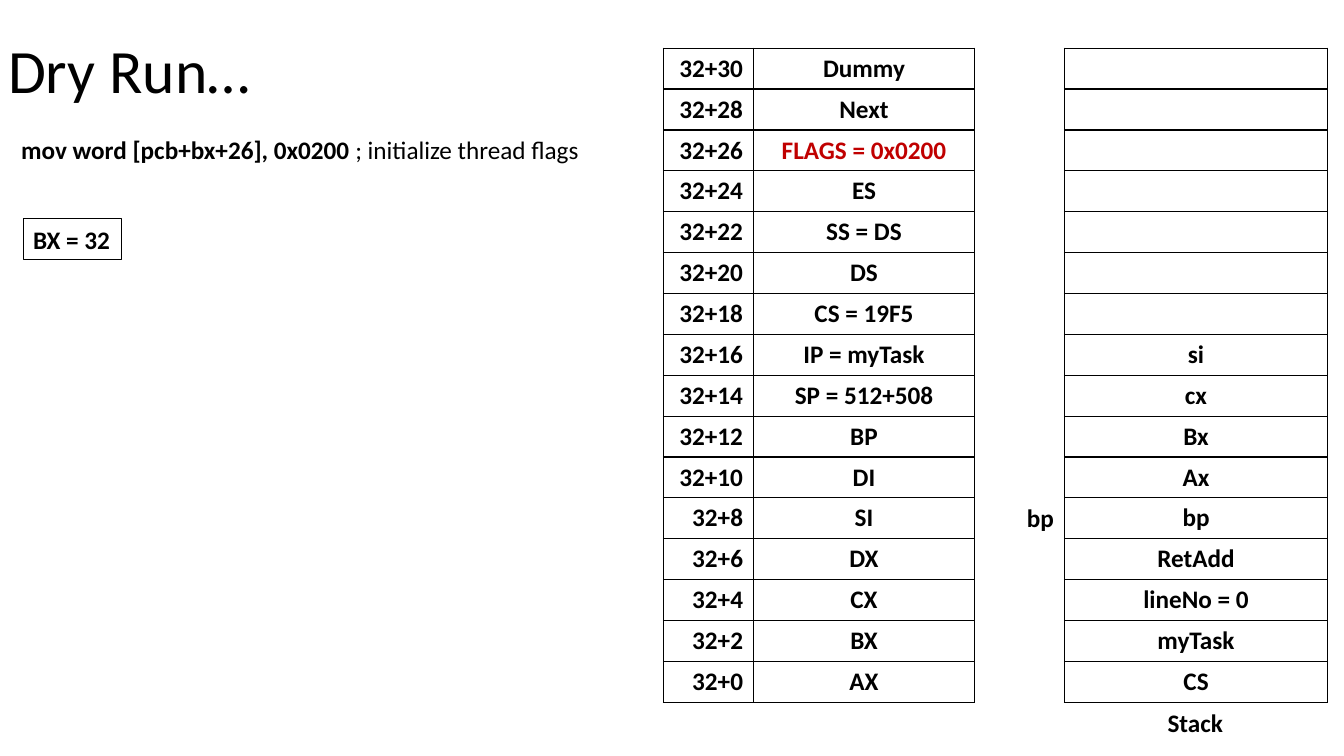
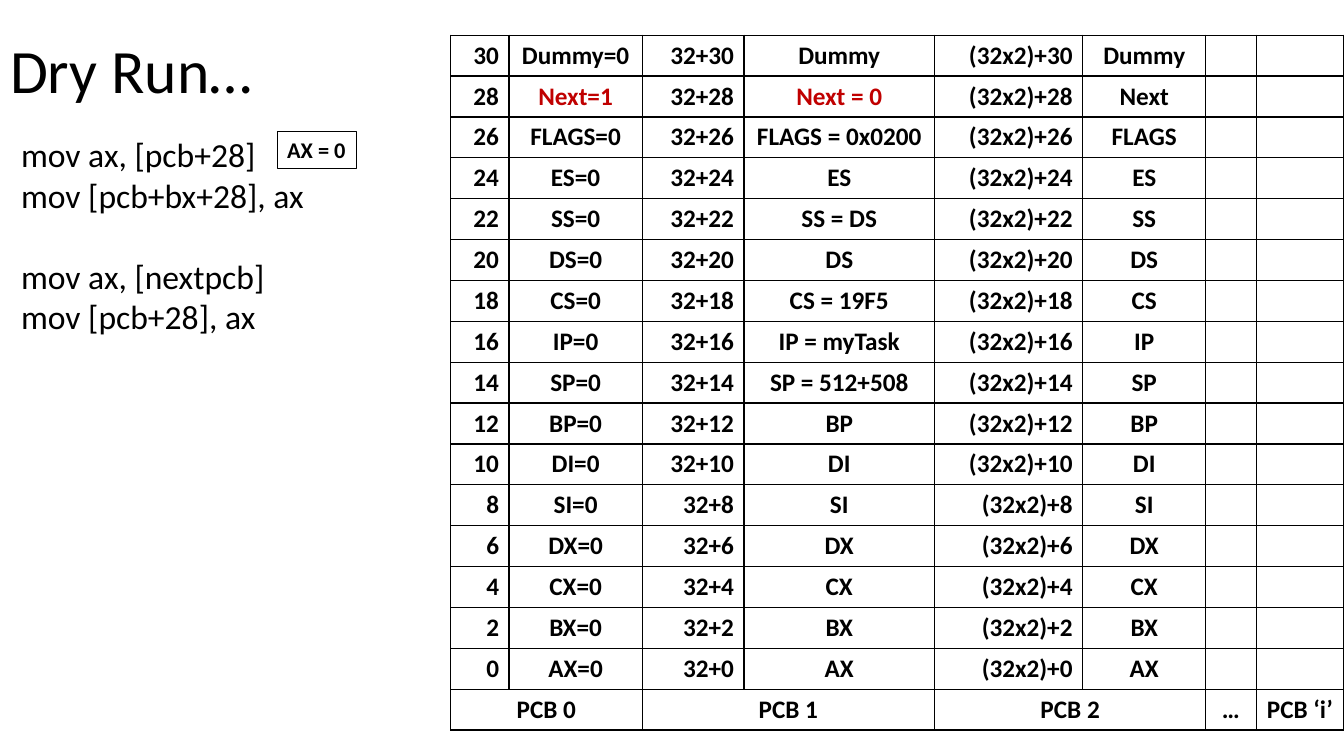
"""Build two dry-run slides that trace thread control blocks and the stack."""
from dataclasses import dataclass

from lxml import etree
from pptx import Presentation
from pptx.dml.color import RGBColor
from pptx.enum.shapes import MSO_SHAPE
from pptx.enum.text import MSO_ANCHOR, MSO_AUTO_SIZE, PP_ALIGN
from pptx.oxml.ns import qn
from pptx.util import Inches, Pt

RECT = MSO_SHAPE.RECTANGLE
MIDDLE = MSO_ANCHOR.MIDDLE
FIT = MSO_AUTO_SIZE.SHAPE_TO_FIT_TEXT
LEFT = PP_ALIGN.LEFT
CENTER = PP_ALIGN.CENTER
RIGHT = PP_ALIGN.RIGHT


@dataclass(frozen=True)
class Theme:
    font: str = "Calibri"
    ink: RGBColor = RGBColor(0, 0, 0)
    hot: RGBColor = RGBColor(0xC0, 0, 0)
    title: int = 44
    code: int = 24
    body: int = 18
    small: int = 16
    border: float = 1
    outline: float = 0.75


T = Theme()
prs = Presentation()
prs.slide_width, prs.slide_height = Inches(13.33), Inches(7.5)
COL = prs.slide_width / 100
ROW = prs.slide_height / 18.5


def add_text(where, box, lines, size=T.body, boxed=False, align=LEFT):
    """Write lines of (text, bold) runs in a box, or one run in a bare paragraph."""
    if box:
        x, y, w, h = box
        place = [int(v) for v in (x * COL, y * ROW, w * COL, h * ROW)]
        if boxed:
            sp = where.shapes.add_shape(RECT, *place)
            sp.shadow.inherit = False
            sp.fill.background()
            sp.line.color.rgb = T.ink
            sp.line.width = Pt(T.outline)
        else:
            sp = where.shapes.add_textbox(*place)
        tf = sp.text_frame
        tf.word_wrap = False
        tf.auto_size = FIT
    else:
        tf = where.text_frame
    for i, runs in enumerate(lines):
        p = tf.add_paragraph() if i else tf.paragraphs[0]
        p.alignment = align
        for text, bold, color in runs:
            r = p.add_run()
            r.text = text
            r.font.name, r.font.size, r.font.bold = T.font, Pt(size), bold
            r.font.color.rgb = color
    return tf


def add_grid(s, x, y, widths, rows, aligns, hot=(), spans=()):
    """Add a ruled table; spans lists the first columns of merged footer pairs."""
    place = [int(v) for v in (x * COL, y * ROW, sum(widths) * COL, len(rows) * ROW)]
    table = s.shapes.add_table(len(rows), len(widths), *place).table
    table.first_row = table.horz_banding = False
    for column, width in zip(table.columns, widths):
        column.width = int(width * COL)
    for c in spans:
        table.cell(len(rows) - 1, c).merge(table.cell(len(rows) - 1, c + 1))
    for i, values in enumerate(rows):
        table.rows[i].height = int(ROW)
        for j, text in enumerate(values):
            cell = table.cell(i, j)
            cell.fill.background()
            tcPr = cell._tc.get_or_add_tcPr()
            for k, side in enumerate(("lnL", "lnR", "lnT", "lnB")):
                ln = etree.Element(qn("a:" + side), w=str(Pt(T.border)))
                fill = etree.SubElement(ln, qn("a:solidFill"))
                etree.SubElement(fill, qn("a:srgbClr"), val=str(T.ink))
                tcPr.insert(k, ln)
            if text:
                footer = spans and i == len(rows) - 1
                color = T.hot if text in hot else T.ink
                add_text(cell, None, [[(text, True, color)]],
                         align=CENTER if footer else aligns[j])


slides = []
for x, y in ((-0.15, 0), (0, 0.02)):
    s = prs.slides.add_slide(prs.slide_layouts[5])
    sp = s.shapes.title
    sp.left, sp.top = int(x * COL), int(y * ROW)
    sp.width, sp.height = int(86.27 * COL), int(3.58 * ROW)
    tf = add_text(sp, None, [[("Dry Run…", False, T.ink)]], T.title)
    tf.vertical_anchor = MIDDLE
    tf.paragraphs[0].line_spacing = 0.9
    slides.append(s)
thread, chain = slides

REGISTERS = ["Dummy", "Next", "FLAGS", "ES", "SS", "DS", "CS", "IP",
             "SP", "BP", "DI", "SI", "DX", "CX", "BX", "AX"]
SETTINGS = {"FLAGS": "FLAGS = 0x0200", "SS": "SS = DS", "CS": "CS = 19F5",
            "IP": "IP = myTask", "SP": "SP = 512+508"}
OFFSETS = range(30, -1, -2)
STACK = [""] * 7 + ["si", "cx", "Bx", "Ax", "bp", "RetAdd", "lineNo = 0", "myTask", "CS"]
CODE_X, CODE_Y = 0.83, 3.16

TOP, STACK_X, STACK_W, BP_W, LABEL_W = 1.18, 79.2, 19.58, 3.53, 5.7
add_grid(thread, STACK_X, TOP, [STACK_W], [[v] for v in STACK], [CENTER])
pcb = [[f"32+{n}", SETTINGS.get(reg, reg)] for n, reg in zip(OFFSETS, REGISTERS)]
add_grid(thread, 49.36, TOP, [6.68, 16.5], pcb, [RIGHT, CENTER], ["FLAGS = 0x0200"])
add_text(thread, (1.73, 5.35, 7.28, 1), [[("BX = 32", True, T.ink)]], boxed=True)
add_text(thread, (CODE_X, CODE_Y, 43.06, 1),
         [[("mov word [pcb+bx+26], 0x0200", True, T.ink),
           (" ; initialize thread flags", False, T.ink)]])
add_text(thread, (STACK_X - BP_W, TOP + STACK.index("bp"), BP_W, 1), [[("bp", True, T.ink)]])
add_text(thread, (STACK_X + (STACK_W - LABEL_W) / 2, TOP + len(STACK), LABEL_W, 1),
         [[("Stack", True, T.ink)]])

blocks = []
for n, reg in zip(OFFSETS, REGISTERS):
    first = "Next=1" if reg == "Next" else f"{reg}=0"
    second = "Next = 0" if reg == "Next" else SETTINGS.get(reg, reg)
    blocks.append([str(n), first, f"32+{n}", second, f"(32x2)+{n}", reg, "", ""])
blocks.append(["PCB 0", "", "PCB 1", "", "PCB 2", "", "…", "PCB ‘i’"])
add_grid(chain, 33.53, 0.86, [4.35, 9.9, 7.58, 14.18, 11.03, 9.15, 3.75, 6.53], blocks,
         [RIGHT, CENTER] * 4, ["Next=1", "Next = 0"], spans=(0, 2, 4))
code = ["mov ax, [pcb+28]", "mov [pcb+bx+28], ax", "mov ax, [nextpcb]", "mov [pcb+28], ax"]
tf = add_text(chain, (CODE_X, CODE_Y, 22.73, 5.23),
              [[(line, False, T.ink)] for line in code], T.code)
tf.paragraphs[2].space_before = Pt(1.22 * T.code)
add_text(chain, (20.63, 3.21, 5.93, 0.91), [[("AX = 0", True, T.ink)]], T.small, boxed=True)

prs.save("out.pptx")
